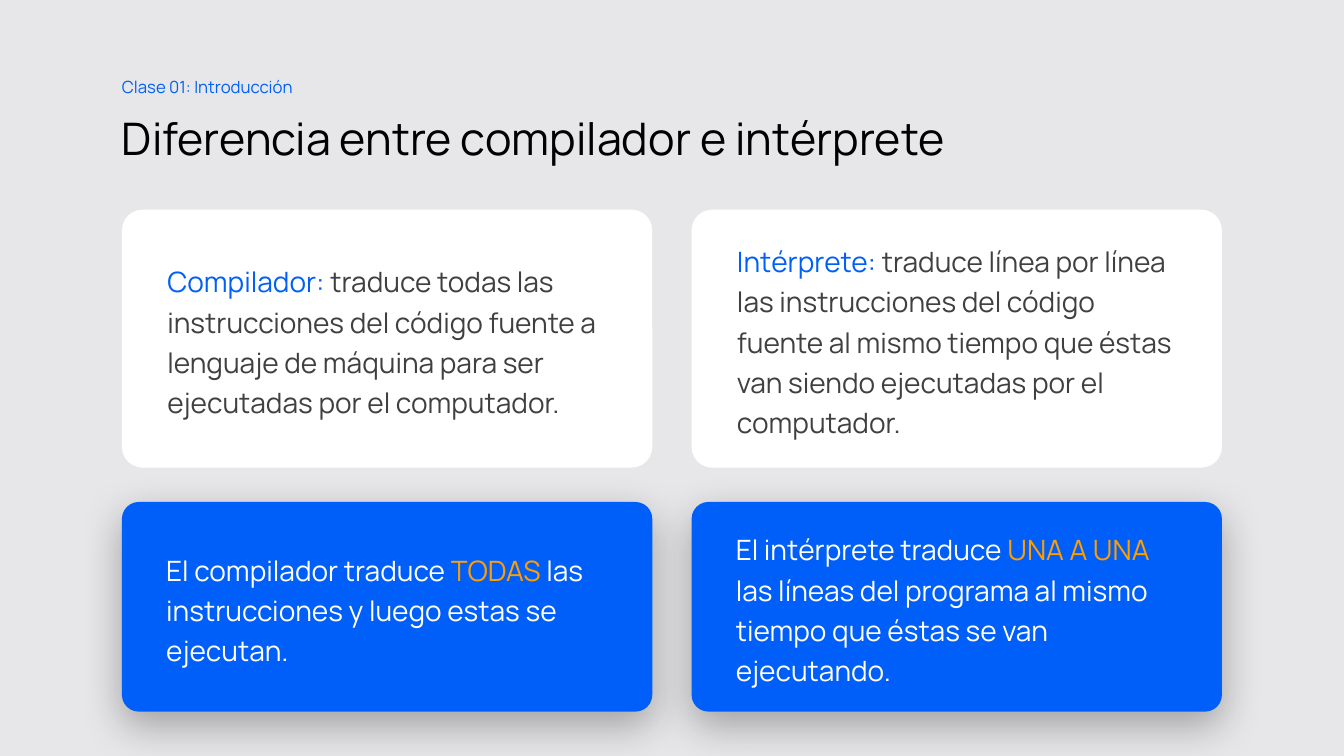
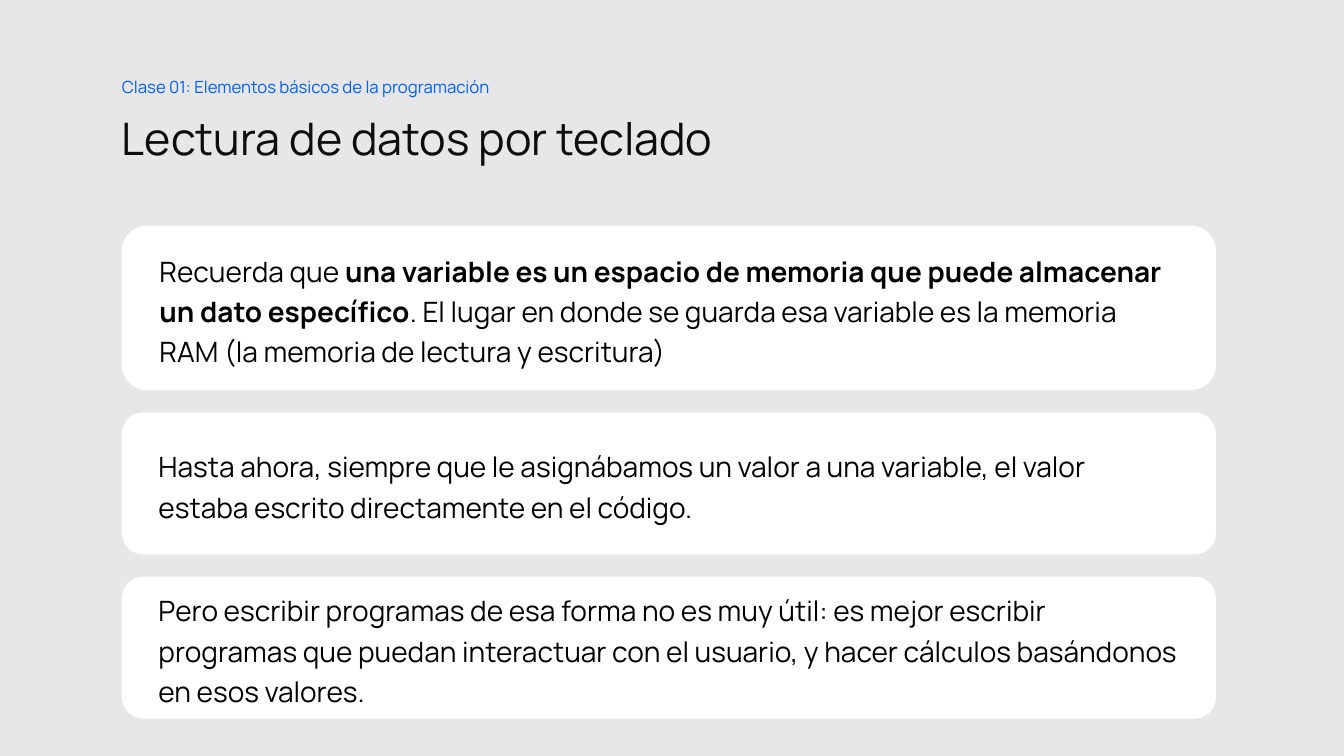
from lxml import etree
from pptx import Presentation
from pptx.dml.color import RGBColor
from pptx.enum.shapes import MSO_SHAPE
from pptx.enum.text import MSO_ANCHOR, PP_ALIGN
from pptx.oxml.ns import qn
from pptx.util import Inches, Pt

ROUNDED = MSO_SHAPE.ROUNDED_RECTANGLE
TOP, MIDDLE = MSO_ANCHOR.TOP, MSO_ANCHOR.MIDDLE
LEFT = PP_ALIGN.LEFT
rgb = RGBColor.from_string

FONT = "Manrope"
GREY, WHITE, BLACK, INK = "E7E7E9", "FFFFFF", "000000", "0F0C0C"
BLUE, ORANGE, TEXT = "005FF9", "FF9E00", "404040"

MARGIN, CONTENT_W = 1.21, 10.85
CARD_W, CARD_GAP = 5.26, 0.39
PAIR_ROWS = [(2.08, 2.56), (4.98, 2.08)]
STACK_TOP, STACK_GAP = 2.24, 0.22


def write(sp, runs, size, insets, anchor=MIDDLE, spacing=1.2, before=10):
    tf = sp.text_frame
    tf.word_wrap = True
    tf.vertical_anchor = anchor
    tf.margin_left, tf.margin_top, tf.margin_right, tf.margin_bottom = map(Inches, insets)
    p = tf.paragraphs[0]
    p.alignment = LEFT
    p.line_spacing = spacing
    p.space_before = Pt(before)
    for text, color, bold in runs:
        r = p.add_run()
        r.text = text
        r.font.name = FONT
        r.font.size = Pt(size)
        r.font.bold = bold
        r.font.color.rgb = rgb(color)


def add_card(s, box, fill, radius, runs, insets):
    sp = s.shapes.add_shape(ROUNDED, *map(Inches, box))
    sp.adjustments[0] = radius
    sp.fill.solid()
    sp.fill.fore_color.rgb = rgb(fill)
    sp.line.fill.background()
    sp.shadow.inherit = False
    write(sp, runs, 20, insets)
    return sp


prs = Presentation()
prs.slide_width, prs.slide_height = Inches(13.33), Inches(7.5)

headings = [
    ("Clase 01: Introducción", "Diferencia entre compilador e intérprete", BLACK),
    ("Clase 01: Elementos básicos de la programación", "Lectura de datos por teclado", INK),
]
slides = []
for eyebrow, title, color in headings:
    s = prs.slides.add_slide(prs.slide_layouts[6])
    s.background.fill.solid()
    s.background.fill.fore_color.rgb = rgb(GREY)
    sp = s.shapes.add_textbox(*map(Inches, (MARGIN, 0.67, CONTENT_W, 0.34)))
    write(sp, [(eyebrow, BLUE, False)], 12, (0, 0.05, 0.1, 0.05), TOP)
    sp = s.shapes.add_textbox(*map(Inches, (MARGIN, 1, CONTENT_W, 0.75)))
    write(sp, [(title, color, False)], 32, (0, 0.1, 0.1, 0.05), spacing=0.9, before=0)
    slides.append(s)

pairs = [
    ("Compilador: ",
     "traduce todas las instrucciones del código fuente a lenguaje de máquina para ser "
     "ejecutadas por el computador.",
     "El compilador traduce ", "TODAS", " las instrucciones y luego estas se ejecutan."),
    ("Intérprete: ",
     "traduce línea por línea las instrucciones del código fuente al mismo tiempo que éstas "
     "van siendo ejecutadas por el computador.",
     "El intérprete traduce ", "UNA A UNA",
     " las líneas del programa al mismo tiempo que éstas se van ejecutando."),
]
for col, (term, meaning, start, key, end) in enumerate(pairs):
    x = MARGIN + col * (CARD_W + CARD_GAP)
    (top, height), (blue_top, blue_height) = PAIR_ROWS
    add_card(slides[0], (x, top, CARD_W, height), WHITE, 0.08,
             [(term, BLUE, False), (meaning, TEXT, False)], (0.39, 0, 0.31, 0))
    sp = add_card(slides[0], (x, blue_top, CARD_W, blue_height), BLUE, 0.08,
                  [(start, WHITE, False), (key, ORANGE, False), (end, WHITE, False)],
                  (0.39, 0, 0.4, 0))
    effects = sp._element.spPr.find(qn("a:effectLst"))
    shadow = etree.SubElement(effects, qn("a:outerShdw"), blurRad=str(Pt(30)),
                              dist=str(Pt(10)), dir="5400000", algn="t", rotWithShape="0")
    tint = etree.SubElement(shadow, qn("a:srgbClr"), val=BLACK)
    etree.SubElement(tint, qn("a:alpha"), val="30000")

notes = [
    (1.63, [("Recuerda que ", BLACK, False),
            ("una variable es un espacio de memoria que puede almacenar un dato específico",
             BLACK, True),
            (". El lugar en donde se guarda esa variable es la memoria RAM "
             "(la memoria de lectura y escritura)", BLACK, False)]),
    (1.41, [("Hasta ahora, siempre que le asignábamos un valor a una variable, el valor "
             "estaba escrito directamente en el código.", BLACK, False)]),
    (1.41, [("Pero escribir programas de esa forma no es muy útil: es mejor escribir programas "
             "que puedan interactuar con el usuario, y hacer cálculos basándonos en esos "
             "valores.", BLACK, False)]),
]
y = STACK_TOP
for height, runs in notes:
    add_card(slides[1], (MARGIN, y, CONTENT_W, height), WHITE, 0.15, runs, (0.3, 0, 0.3, 0))
    y += height + STACK_GAP

prs.save("out.pptx")
